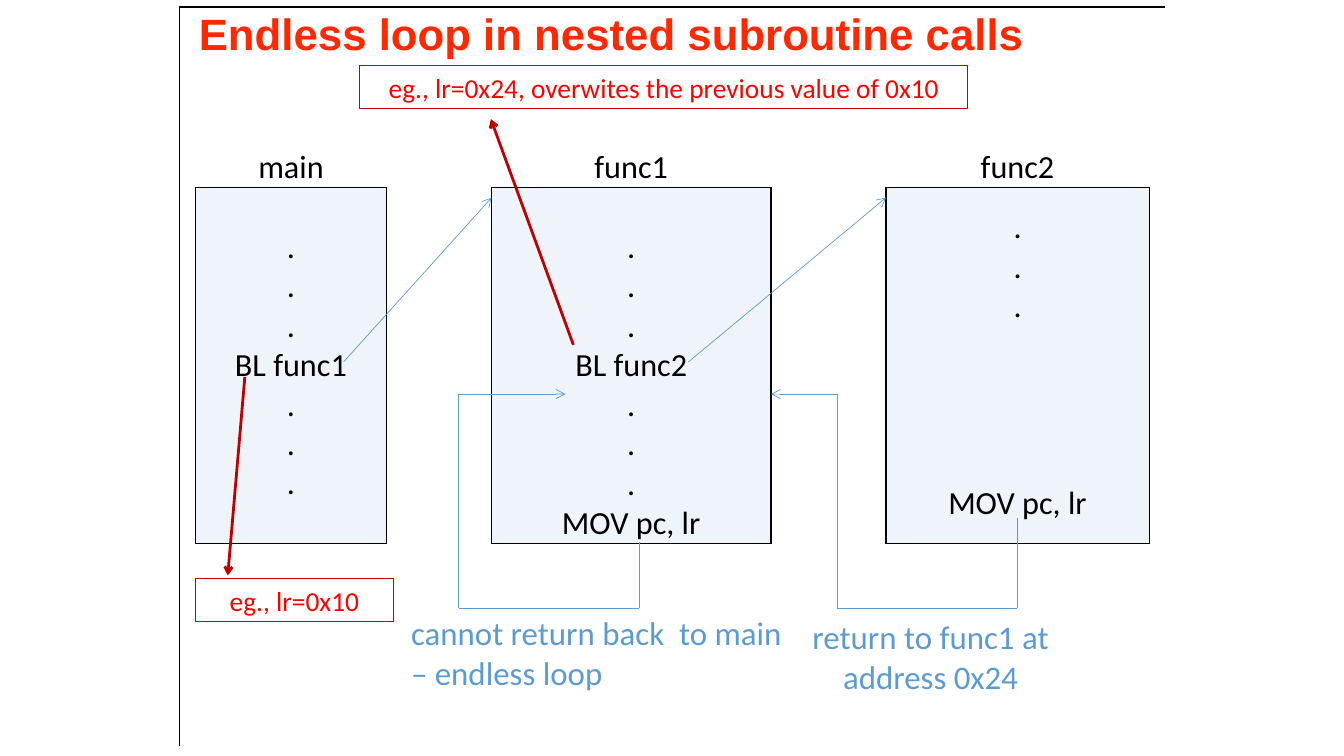
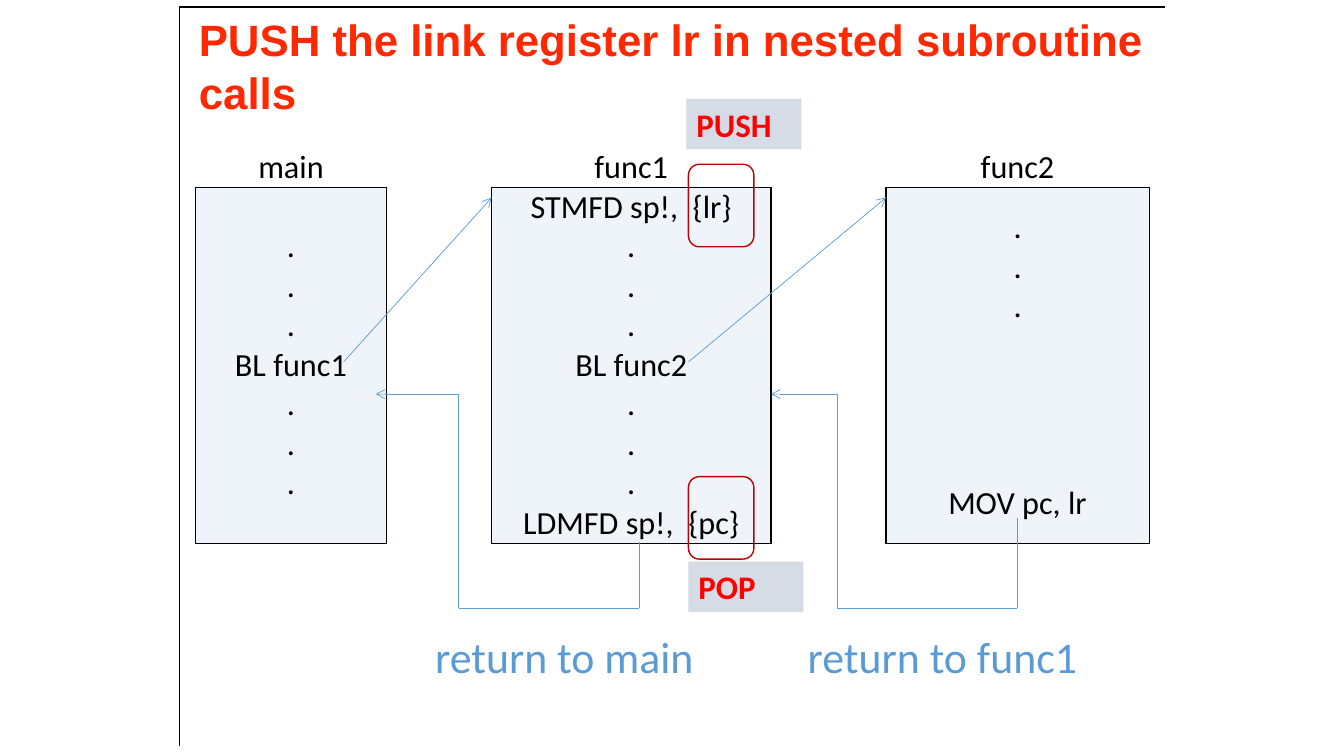
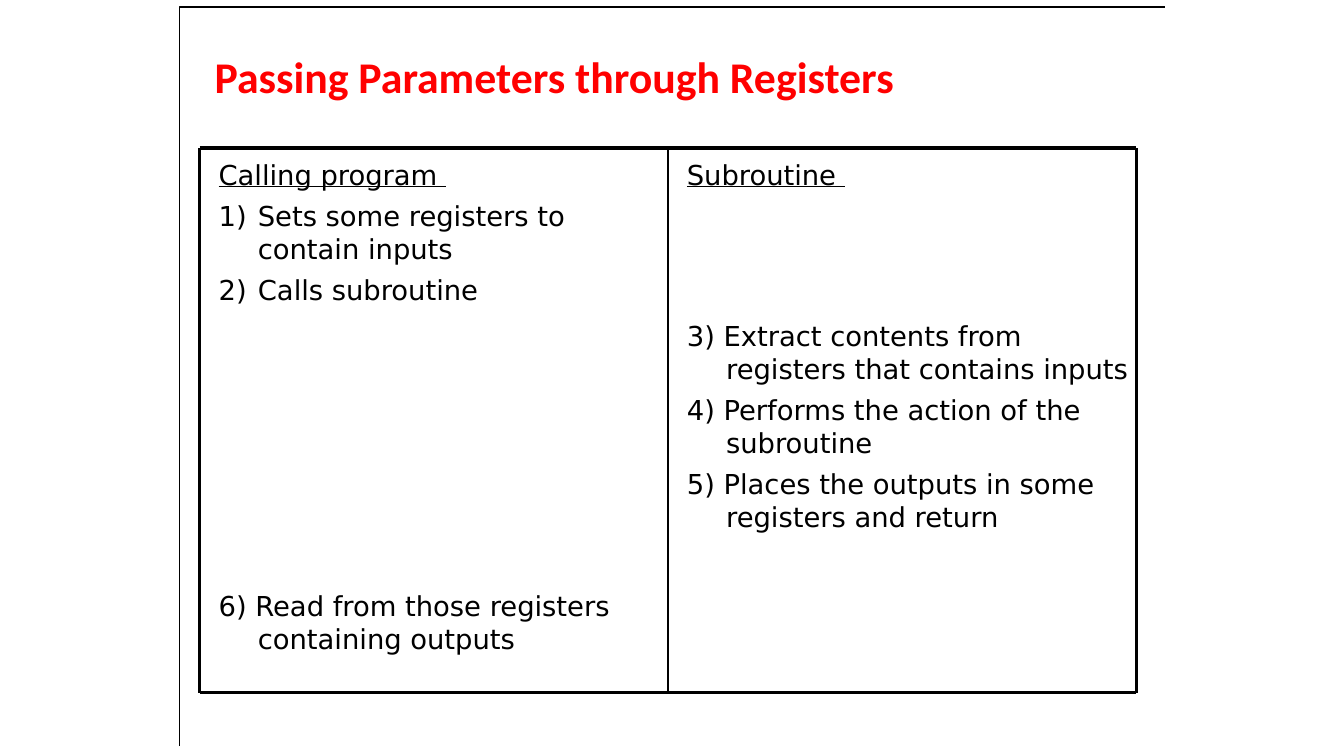
from collections import namedtuple
from itertools import pairwise

from pptx import Presentation
from pptx.dml.color import RGBColor
from pptx.enum.shapes import MSO_CONNECTOR, MSO_SHAPE
from pptx.enum.text import MSO_ANCHOR, MSO_AUTO_SIZE, PP_ALIGN
from pptx.oxml.ns import qn
from pptx.util import Cm, Pt
from lxml.etree import SubElement

COLORS = {
    "black": "000000", "title": "FF2800", "red": "FF0000",
    "dark_red": "C00000", "blue": "5B9BD5", "tag": "D6DCE5",
}
TITLE_SIZE, CODE_SIZE, LIST_SIZE = 31.3, 23, 19.6
CODE_LINE = 28.1  # height of one code line in points
NO_STYLE = "{2D5ABB26-0587-4C30-8999-92F81FD0307C}"

# Boxes and offsets are in centimetres
Box = namedtuple("Box", "left top width height")
DIAGRAM = Box(4.93, 3.73, 24.03, 9.93)
COLUMNS = (4.81, 2.65, 7.04, 2.9, 6.63)
ROWS = (1, 1, 2.81, 1, 2.81, 1.31)
FUNC1_LEFT = sum(COLUMNS[:2])
FUNC1_RIGHT = sum(COLUMNS[:3])
FUNC2_LEFT = sum(COLUMNS[:4])

DOTS = [".", ".", "."]
MAIN_CODE = [*DOTS, "BL func1", *DOTS]
FUNC1_BODY = [*DOTS, "BL func2", *DOTS]


def color(name):
    return RGBColor.from_string(COLORS[name])


def inside(region, left, top, width, height):
    return Box(region.left + left, region.top + top, width, height)


def style(para, size, name, ink, bold=None, align=PP_ALIGN.LEFT):
    para.alignment = align
    font = para.font
    font.size, font.name, font.bold = Pt(size), name, bold
    font.color.rgb = color(ink)


def hang(para, left, first=0):
    props = para._p.get_or_add_pPr()
    props.set("marL", str(Cm(left)))
    props.set("indent", str(Cm(first)))


def paragraphs(frame, lines):
    """Fill the frame with one paragraph for each line."""
    frame.text = "\n".join(lines)
    return frame.paragraphs


def zero_margins(target):
    target.margin_left = target.margin_right = 0
    target.margin_top = target.margin_bottom = 0


# Shared parts
def add_page(deck, title, box, name="Arial", ink="title"):
    page = deck.slides.add_slide(deck.slide_layouts[5])
    holder = page.shapes.title
    holder.left, holder.top, holder.width, holder.height = map(Cm, box)
    frame = holder.text_frame
    frame.text = title
    frame.word_wrap = True
    frame.auto_size = MSO_AUTO_SIZE.NONE
    frame.vertical_anchor = MSO_ANCHOR.MIDDLE
    zero_margins(frame)
    style(frame.paragraphs[0], TITLE_SIZE, name, ink, bold=True)
    hang(frame.paragraphs[0], 0.08)

    # Corner rule along the left and top edges
    builder = page.shapes.build_freeform(Cm(4.52), Cm(18.8))
    builder.add_line_segments(
        [(Cm(4.52), Cm(0.18)), (Cm(29.36), Cm(0.18))], close=False)
    rule = builder.convert_to_shape()
    rule.shadow.inherit = False
    rule.fill.background()
    rule.line.color.rgb = color("black")
    rule.line.width = Pt(0.98)
    return page


def add_path(page, region, points, ink="blue", width=0.5, arrow=True):
    """Join the points with straight lines; the last may carry an arrowhead."""
    for start, end in pairwise(points):
        line = page.shapes.add_connector(
            MSO_CONNECTOR.STRAIGHT,
            Cm(region.left + start[0]), Cm(region.top + start[1]),
            Cm(region.left + end[0]), Cm(region.top + end[1]))
        line.line.color.rgb = color(ink)
        line.line.width = Pt(width)
        SubElement(line._element.spPr, qn("a:effectLst"))
    if arrow:
        SubElement(line.line._get_or_add_ln(), qn("a:tailEnd"), type="arrow")


def add_shape(page, box, kind=MSO_SHAPE.RECTANGLE, fill=None, outline=None,
              width=0.75):
    shape = page.shapes.add_shape(kind, *map(Cm, box))
    shape.shadow.inherit = False
    if fill:
        shape.fill.solid()
        shape.fill.fore_color.rgb = color(fill)
    else:
        shape.fill.background()
    if outline:
        shape.line.color.rgb = color(outline)
        shape.line.width = Pt(width)
    else:
        shape.line.fill.background()
    return shape


def add_note(page, box, text, size=23.5, align=PP_ALIGN.CENTER):
    frame = page.shapes.add_textbox(*map(Cm, box)).text_frame
    frame.word_wrap = True
    frame.text = text
    style(frame.paragraphs[0], size, "Calibri", "blue", align=align)


def add_value_box(page, box, text):
    frame = add_shape(page, box, outline="dark_red").text_frame
    frame.word_wrap = True
    frame.text = text
    style(frame.paragraphs[0], 19.6, "Calibri", "red", align=PP_ALIGN.CENTER)


def add_tag(page, box, text):
    frame = add_shape(page, box, fill="tag").text_frame
    frame.word_wrap = True
    frame.text = text
    style(frame.paragraphs[0], 23.5, "Calibri", "red", bold=True)


# Call diagram
def add_borders(cell, sides):
    props = cell._tc.get_or_add_tcPr()
    for side in sides:
        line = SubElement(props, qn(f"a:ln{side}"), w=str(Pt(1)))
        fill = SubElement(line, qn("a:solidFill"))
        SubElement(fill, qn("a:srgbClr"), val=COLORS["black"])


def write_code(cell, lines):
    cell.vertical_anchor = MSO_ANCHOR.MIDDLE
    for para in paragraphs(cell.text_frame, lines):
        style(para, CODE_SIZE, "Calibri", "black", align=PP_ALIGN.CENTER)


def add_code_table(page, region, func1_code):
    graphic = page.shapes.add_table(len(ROWS), len(COLUMNS), *map(Cm, region))
    table = graphic.table
    table.first_row = table.horz_banding = False
    table._tbl.tblPr.find(qn("a:tableStyleId")).text = NO_STYLE
    for column, width in zip(table.columns, COLUMNS):
        column.width = Cm(width)
    for row, height in zip(table.rows, ROWS):
        row.height = Cm(height)
    for cell in table.iter_cells():
        zero_margins(cell)

    routines = {
        0: ("main", MAIN_CODE),
        2: ("func1", func1_code),
        4: ("func2", [*DOTS, "MOV pc, lr"]),
    }
    for index, (name, code) in routines.items():
        header, body = table.cell(0, index), table.cell(1, index)
        write_code(header, [name])
        add_borders(header, "B")
        body.merge(table.cell(len(ROWS) - 1, index))
        write_code(body, code)
        add_borders(body, "LRTB")
    for cell in table.iter_cells():
        cell.fill.background()
    for index in routines:
        body = table.cell(1, index)
        body.fill.solid()
        body.fill.fore_color.rgb = color("blue")
        tint = body._tc.tcPr.find(qn("a:solidFill"))[0]
        SubElement(tint, qn("a:alpha"), val="10000")
    # The return of func2 stands four lines below its dots
    table.cell(1, 4).text_frame.paragraphs[-1].space_before = Pt(4 * CODE_LINE)
    return table


def add_return(page, region, x, y, target):
    turn, bottom, entry = x - 4.54, 11.59, 6.2
    add_path(page, region, [(x, y), (x, bottom), (turn, bottom),
                            (turn, entry), (target, entry)])


def add_call_diagram(page, region, func1_code, func1_target):
    table = add_code_table(page, region, func1_code)
    for x, target in ((3.73, FUNC1_LEFT), (12.42, FUNC2_LEFT)):
        add_path(page, region, [(x, 5.39), (target, 1.25)])
    add_return(page, region, 20.7, 9.33, FUNC1_RIGHT)
    add_return(page, region, 11.17, region.height, func1_target)
    return table


def build_endless_loop(deck, region):
    page = add_page(deck, "Endless loop in nested subroutine calls",
                    Box(region.left, 0.41, region.width, 0.84))
    table = add_call_diagram(page, region, [*FUNC1_BODY, "MOV pc, lr"], 9.32)
    table.cell(1, 2).margin_top = Cm(1)
    add_note(page, inside(region, 15.11, 11.69, 6.83, 2.26),
             "return to func1 at address 0x24")
    add_note(page, inside(region, 5.18, 11.59, 9.93, 2.26),
             "cannot return back  to main – endless loop",
             align=PP_ALIGN.LEFT)

    # Link register values
    add_value_box(page, inside(region, 0, 10.85, 4.98, 1.09), "eg., lr=0x10")
    add_value_box(page, inside(region, 4.14, -2.08, 15.32, 1.09),
                  "eg., lr=0x24, overwites the previous value of 0x10")
    for points in ([(1.24, 5.77), (0.81, 10.77)],
                   [(9.52, 4.96), (7.44, -0.73)]):
        add_path(page, region, points, "dark_red", 2)


def build_push_pop(deck, region):
    page = add_page(deck,
                    "PUSH the link register lr in nested subroutine calls",
                    Box(region.left, 0.41, region.width, 2.49))
    code = ["STMFD sp!,  {lr}", *FUNC1_BODY, "LDMFD sp!,  {pc}"]
    add_call_diagram(page, region, code, 4.54)
    for left, text in ((14.48, "return to func1"), (4.95, "return to main")):
        add_note(page, inside(region, left, 12.02, 8.69, 1.6), text, 31.3)

    # Marked registers and their tags
    for top in (0.41, 8.28):
        add_shape(page, inside(region, 12.42, top, 1.65, 2.08),
                  MSO_SHAPE.ROUNDED_RECTANGLE, outline="dark_red", width=1)
    for left, top, text in ((12.37, -1.24, "PUSH"), (12.42, 10.42, "POP")):
        add_tag(page, inside(region, left, top, 2.9, 1.27), text)


# Parameter passing
def add_steps(page, box, heading, steps, gap_step, gap, numbered=0):
    """List the steps; a gap in points precedes the step at gap_step."""
    frame = page.shapes.add_textbox(*map(Cm, box)).text_frame
    frame.word_wrap = True
    frame.margin_left = frame.margin_right = Cm(0.48)
    frame.margin_top = frame.margin_bottom = Cm(0.25)
    for index, para in enumerate(paragraphs(frame, [heading, *steps])):
        style(para, LIST_SIZE, "DejaVu Sans", "black")
        para.space_before = Pt(gap if index == gap_step else 6)
        if index == 0:
            para.font.underline = True
            continue
        hang(para, 0.99, -0.99)
        if index <= numbered:
            number = para._p.pPr.makeelement(
                qn("a:buAutoNum"), {"type": "arabicParenR"})
            para._p.pPr.find(qn("a:defRPr")).addprevious(number)


def build_parameters(deck, region):
    page = add_page(deck, "Passing Parameters through Registers",
                    Box(5.33, 1.24, 21.95, 1.37), "Calibri", "red")
    width, height = region.width, region.height
    middle = width / 2
    add_steps(page, inside(region, middle, 0, 12.55, height), "Subroutine ",
              ["3) Extract contents from registers that contains inputs",
               "4) Performs the action of the subroutine",
               "5) Places the outputs in some registers and return"],
              gap_step=1, gap=91.5)
    add_steps(page, inside(region, 0, 0, middle, height), "Calling program ",
              ["Sets some registers to contain inputs",
               "Calls subroutine",
               "6) Read from those registers containing outputs"],
              gap_step=3, gap=202, numbered=2)

    # Frame and divider
    corners = [(0, 0), (width, 0), (width, height), (0, height), (0, 0)]
    add_path(page, region, corners, "black", 2.25, arrow=False)
    add_path(page, region, [(middle, 0), (middle, height)], "black", 1,
             arrow=False)


def main():
    deck = Presentation()
    deck.slide_width, deck.slide_height = Cm(33.87), Cm(19.05)
    build_endless_loop(deck, DIAGRAM)
    build_push_pop(deck, DIAGRAM)
    build_parameters(deck, Box(5.03, 3.73, 23.6, 13.72))
    deck.save("out.pptx")


if __name__ == "__main__":
    main()
